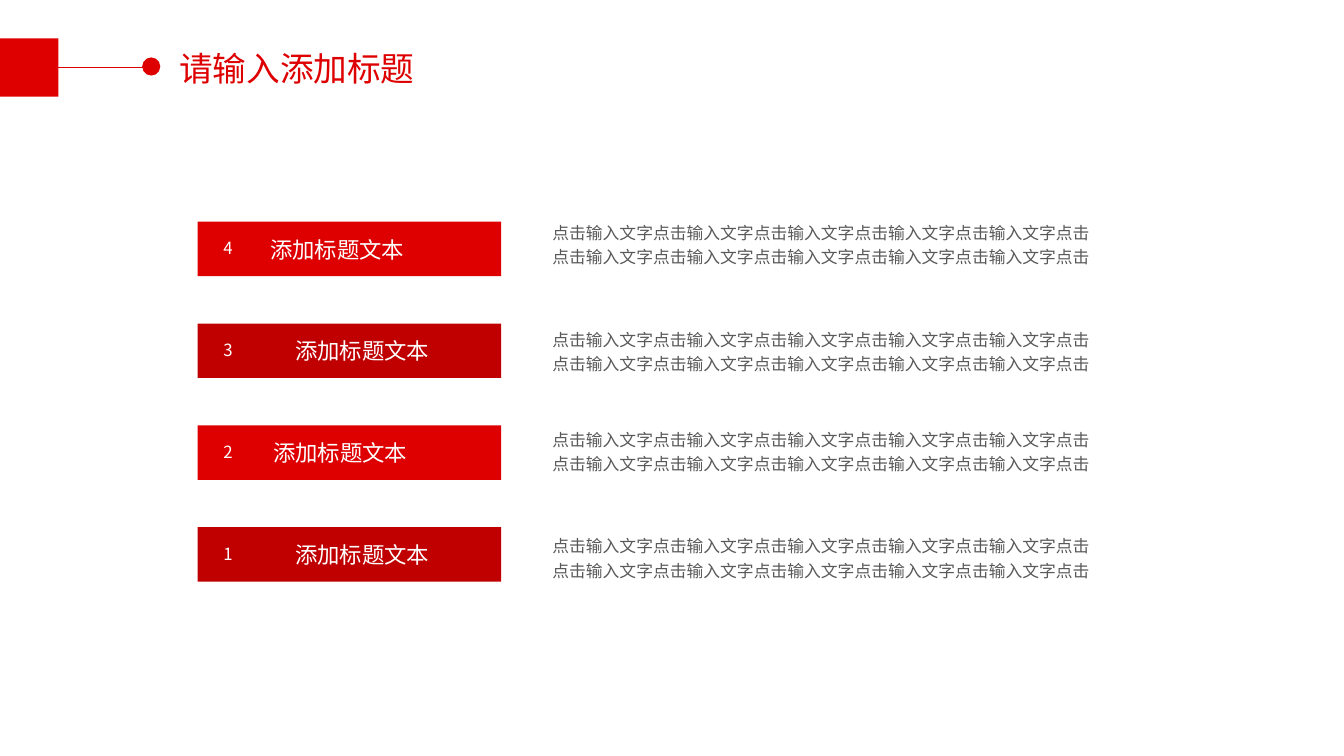
from lxml import etree
from pptx import Presentation
from pptx import util as u
from pptx.dml.color import RGBColor
from pptx.enum import shapes, text
from pptx.oxml import ns

RED = RGBColor(0xDE, 0x00, 0x00)
DARK_RED = RGBColor(0xC0, 0x00, 0x00)
WHITE = RGBColor(0xFF, 0xFF, 0xFF)
GREY = RGBColor(0x59, 0x59, 0x59)
FONT = "Noto Sans CJK SC"
KIND = shapes.MSO_SHAPE

deck = Presentation()
deck.slide_width, deck.slide_height = u.Inches(13.33), u.Inches(7.5)
slide = deck.slides.add_slide(deck.slide_layouts[6])


def add_filled(kind, left, top, width, height, color):
    shape = slide.shapes.add_shape(
        kind, u.Inches(left), u.Inches(top), u.Inches(width), u.Inches(height))
    shape.shadow.inherit = False
    shape.fill.solid()
    shape.fill.fore_color.rgb = color
    shape.line.fill.background()
    return shape


def write(shape, content, *, size, color, align=text.PP_ALIGN.LEFT,
          anchor=text.MSO_ANCHOR.TOP, wrap=True, spacing=None, side_margin=0.1):
    frame = shape.text_frame
    frame.text = content
    frame.word_wrap = wrap
    frame.vertical_anchor = anchor
    frame.margin_left = frame.margin_right = u.Inches(side_margin)
    for paragraph in frame.paragraphs:
        paragraph.alignment = align
        paragraph.line_spacing = spacing
        for run in paragraph.runs:
            run.font.size = u.Pt(size)
            run.font.name = FONT
            run.font.color.rgb = color
            east_asian = etree.SubElement(run.font._element, ns.qn("a:ea"))
            east_asian.set("typeface", FONT)


# Header: line, dot, title and square
header_line = slide.shapes.add_connector(
    shapes.MSO_CONNECTOR.STRAIGHT,
    u.Inches(0), u.Inches(0.67), u.Inches(1.48), u.Inches(0.67))
header_line.line.color.rgb = RED
header_line.line.width = u.Pt(1)
etree.SubElement(header_line._element.spPr, ns.qn("a:effectLst"))
add_filled(KIND.OVAL, 1.41, 0.57, 0.18, 0.18, RED)
title = slide.shapes.add_textbox(
    u.Inches(1.68), u.Inches(0.43), u.Inches(3.32), u.Inches(0.5))
write(title, "请输入添加标题", size=24, color=RED, align=text.PP_ALIGN.JUSTIFY)
add_filled(KIND.RECTANGLE, 0, 0.38, 0.58, 0.58, RED)

# Four numbered bars, each with a two-line description
description = "点击输入文字" * 5 + "点击"
rows = [
    ("4", RED, 2.58, 2.12),
    ("3", DARK_RED, 2.83, 3.18),
    ("2", RED, 2.61, 4.17),
    ("1", DARK_RED, 2.83, 5.23),
]
for index, (number, color, heading_left, description_top) in enumerate(rows):
    bar_top = 2.2 + 1.01 * index
    bar = add_filled(KIND.ROUNDED_RECTANGLE, 1.96, bar_top, 3.01, 0.54, color)
    bar.adjustments[0] = 0
    badge = add_filled(KIND.OVAL, 2.07, bar_top + 0.1, 0.32, 0.32, color)
    write(badge, number, size=12, color=WHITE, align=text.PP_ALIGN.CENTER,
          anchor=text.MSO_ANCHOR.MIDDLE)
    heading = add_filled(
        KIND.RECTANGLE, heading_left, bar_top + 0.09, 1.55, 0.37, color)
    write(heading, "添加标题文本", size=16, color=WHITE, wrap=False)
    details = slide.shapes.add_textbox(
        u.Inches(5.38), u.Inches(description_top), u.Inches(6.45), u.Inches(0.59))
    write(details, f"{description}\n{description}", size=12, color=GREY, spacing=1.2)

deck.save("out.pptx")
